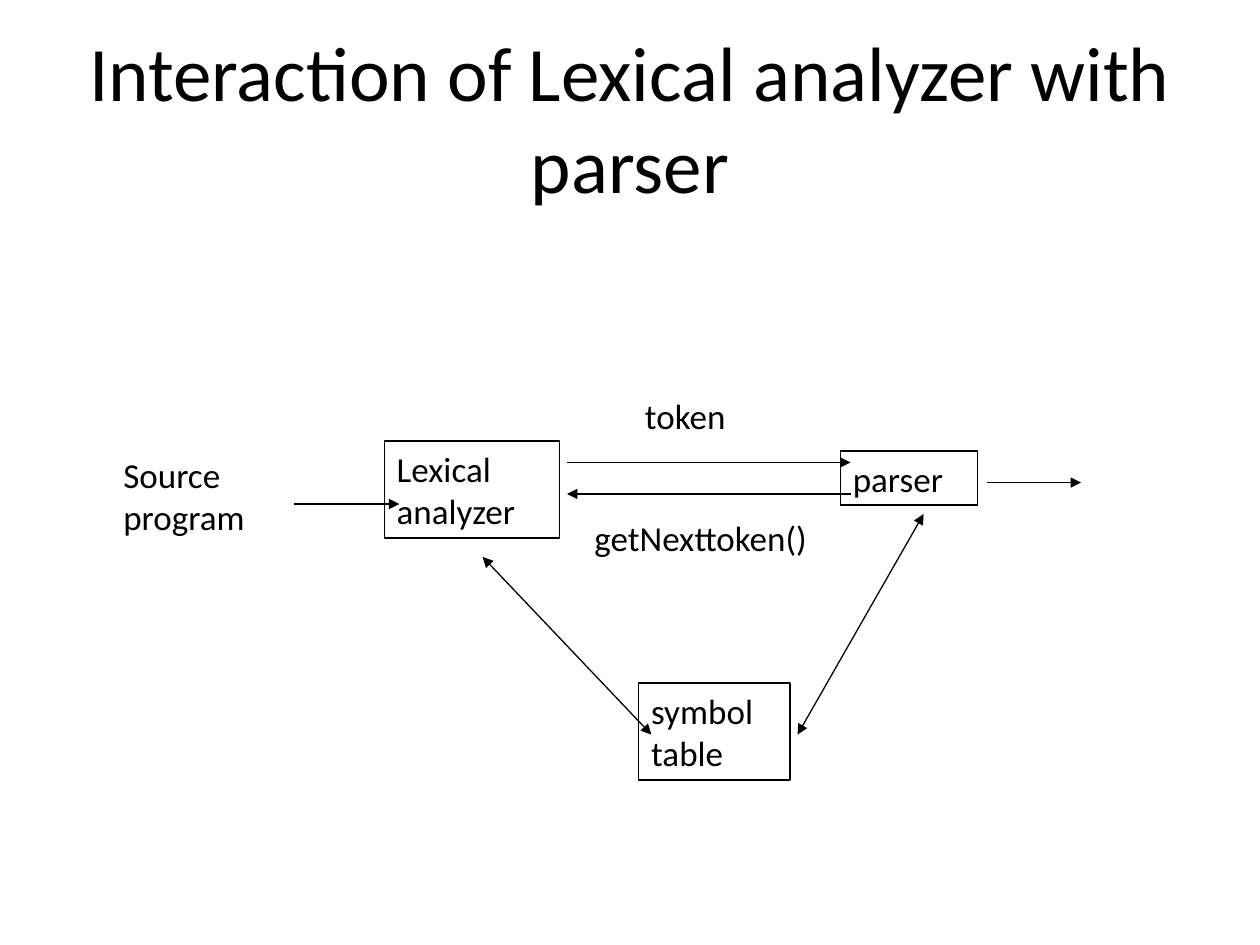
import dataclasses

import lxml.etree
import pptx
import pptx.dml.color
import pptx.enum.shapes
import pptx.enum.text
import pptx.oxml.ns
import pptx.util

Inches = pptx.util.Inches
Pt = pptx.util.Pt
qn = pptx.oxml.ns.qn


@dataclasses.dataclass(frozen=True)
class Theme:
    font: str = "Calibri"
    ink: pptx.dml.color.RGBColor = pptx.dml.color.RGBColor(0, 0, 0)
    title: float = 44
    body: float = 20
    line: float = 0.75


class Board:
    def __init__(self, slide, theme):
        self.slide = slide
        self.theme = theme

    def letter(self, frame, text, size, align):
        """Set the text of a frame in the theme's font and colour."""
        frame.text = text
        frame.word_wrap = True
        frame.auto_size = pptx.enum.text.MSO_AUTO_SIZE.NONE
        for para in frame.paragraphs:
            para.alignment = align
            para.font.name = self.theme.font
            para.font.size = Pt(size)
            para.font.color.rgb = self.theme.ink

    def title(self, text, left, top, width, height):
        shape = self.slide.shapes.title
        shape.left, shape.top = Inches(left), Inches(top)
        shape.width, shape.height = Inches(width), Inches(height)
        self.letter(shape.text_frame, text, self.theme.title,
                    pptx.enum.text.PP_ALIGN.CENTER)
        shape.text_frame.vertical_anchor = pptx.enum.text.MSO_ANCHOR.MIDDLE

    def label(self, text, left, top, width, height):
        shape = self.slide.shapes.add_textbox(
            Inches(left), Inches(top), Inches(width), Inches(height))
        self.letter(shape.text_frame, text, self.theme.body,
                    pptx.enum.text.PP_ALIGN.LEFT)

    def box(self, text, left, top, width, height):
        shape = self.slide.shapes.add_shape(
            pptx.enum.shapes.MSO_SHAPE.RECTANGLE,
            Inches(left), Inches(top), Inches(width), Inches(height))
        shape.shadow.inherit = False
        shape.fill.background()
        self.stroke(shape.line)
        self.letter(shape.text_frame, text, self.theme.body,
                    pptx.enum.text.PP_ALIGN.LEFT)
        shape.text_frame.vertical_anchor = pptx.enum.text.MSO_ANCHOR.TOP

    def stroke(self, line):
        line.color.rgb = self.theme.ink
        line.width = Pt(self.theme.line)

    def arrow(self, start, end, both=False):
        link = self.slide.shapes.add_connector(
            pptx.enum.shapes.MSO_CONNECTOR.STRAIGHT,
            *map(Inches, start + end))
        self.stroke(link.line)
        props = link.element.spPr
        line = props.find(qn("a:ln"))
        for tag in ("a:headEnd", "a:tailEnd") if both else ("a:tailEnd",):
            lxml.etree.SubElement(line, qn(tag), type="triangle")
        lxml.etree.SubElement(props, qn("a:effectLst"))


def main():
    deck = pptx.Presentation()
    deck.slide_width, deck.slide_height = Inches(10), Inches(7.5)
    board = Board(deck.slides.add_slide(deck.slide_layouts[5]), Theme())

    board.title("Interaction of Lexical analyzer with parser", 0.5, 0.3, 9, 1.25)

    one, two = 0.43, 0.77  # heights of one and two lines of text
    board.box("Lexical\nanalyzer", 3.05, 3.5, 1.39, two)
    board.box("symbol\ntable", 5.07, 5.42, 1.2, two)
    board.box("parser", 6.67, 3.58, 1.09, one)

    board.label("Source\nprogram", 0.88, 3.55, 1.38, two)
    board.label("token", 5.02, 3.08, 0.97, one)
    board.label("getNexttoken()", 4.62, 4.05, 2.3, one)

    board.arrow((2.33, 4), (3.17, 4))
    board.arrow((4.5, 3.67), (6.75, 3.67))
    board.arrow((6.75, 3.92), (4.5, 3.92))
    board.arrow((7.83, 3.83), (8.58, 3.83))
    board.arrow((3.83, 4.42), (5.17, 5.83), both=True)
    board.arrow((6.33, 5.83), (7.33, 4.08), both=True)

    deck.save("out.pptx")


if __name__ == "__main__":
    main()
